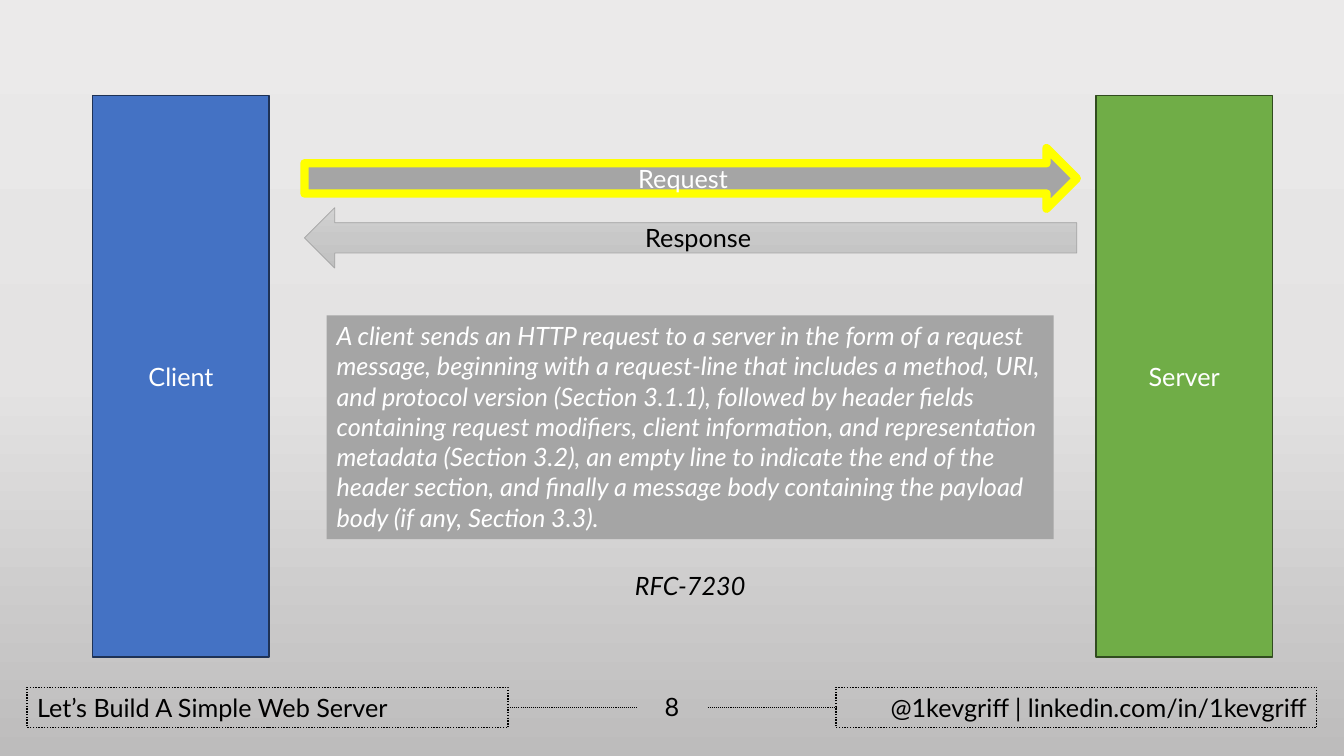
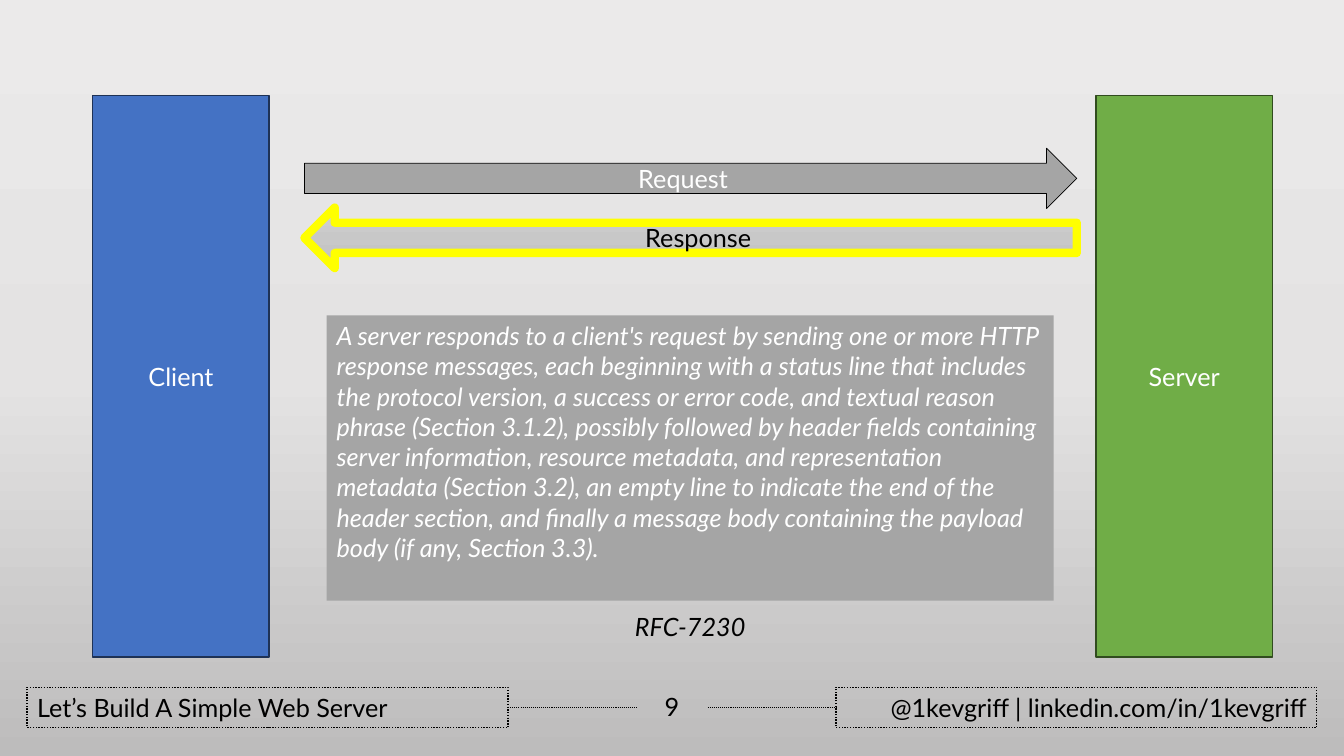
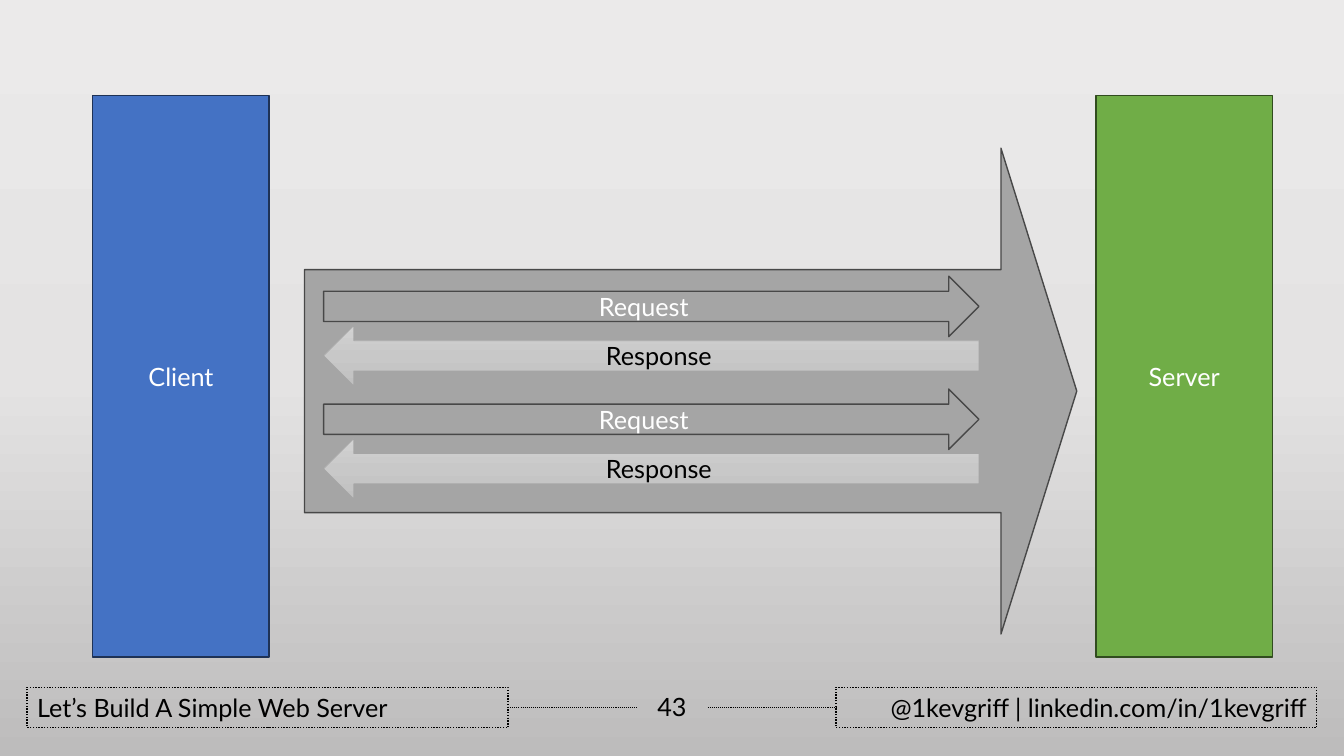
"""Build three slides on the request and response exchange between a client and a server."""
from copy import deepcopy

from lxml import etree
from pptx import Presentation
from pptx import util as u
from pptx.dml.color import RGBColor
from pptx.enum import dml, shapes, text
from pptx.oxml.ns import qn

BLACK = RGBColor(0x00, 0x00, 0x00)
WHITE = RGBColor(0xFF, 0xFF, 0xFF)
YELLOW = RGBColor(0xFF, 0xFF, 0x00)
GRAY = RGBColor(0xA5, 0xA5, 0xA5)
DARK_GRAY = RGBColor(0x48, 0x48, 0x48)
BLUE = RGBColor(0x44, 0x72, 0xC4)
DARK_BLUE = RGBColor(0x1E, 0x32, 0x56)
GREEN = RGBColor(0x70, 0xAD, 0x47)
DARK_GREEN = RGBColor(0x31, 0x4C, 0x1F)
BACKGROUND = [RGBColor(0xEB, 0xEA, 0xEA), RGBColor(0xE4, 0xE3, 0xE3), RGBColor(0xBD, 0xBC, 0xBC)]
SILVER = [RGBColor(0xD2, 0xD2, 0xD2), RGBColor(0xC8, 0xC8, 0xC8), RGBColor(0xC0, 0xC0, 0xC0)]

RECTANGLE = shapes.MSO_SHAPE.RECTANGLE
RIGHT_ARROW = shapes.MSO_SHAPE.RIGHT_ARROW
LEFT_ARROW = shapes.MSO_SHAPE.LEFT_ARROW
TOP, MIDDLE = text.MSO_ANCHOR.TOP, text.MSO_ANCHOR.MIDDLE
LEFT, CENTER, RIGHT = text.PP_ALIGN.LEFT, text.PP_ALIGN.CENTER, text.PP_ALIGN.RIGHT
DOTS = dml.MSO_LINE.ROUND_DOT

FONT = "Lato"
ARROW_HEIGHT = 0.6
FOOTER_MIDDLE = 7.02

EXCHANGES = [
    {
        "number": "8",
        "highlight": "Request",
        "quote": "A client sends an HTTP request to a server in the form of a request message, "
                 "beginning with a request-line that includes a method, URI, and protocol version "
                 "(Section 3.1.1), followed by header fields containing request modifiers, client "
                 "information, and representation metadata (Section 3.2), an empty line to indicate "
                 "the end of the header section, and finally a message body containing the payload "
                 "body (if any, Section 3.3).",
        "quote_height": 2.22,
        "citation_top": 5.61,
    },
    {
        "number": "9",
        "highlight": "Response",
        "quote": "A server responds to a client's request by sending one or more HTTP response "
                 "messages, each beginning with a status line that includes the protocol version, "
                 "a success or error code, and textual reason phrase (Section 3.1.2), possibly "
                 "followed by header fields containing server information, resource metadata, and "
                 "representation metadata (Section 3.2), an empty line to indicate the end of the "
                 "header section, and finally a message body containing the payload body (if any, "
                 "Section 3.3).",
        "quote_height": 2.83,
        "citation_top": 6.02,
    },
    {"number": "43"},
]


def apply_gradient(fill, element, colors):
    """Fill from top to bottom with three evenly spaced colours."""
    fill.gradient()
    fill.gradient_angle = 270
    stop_list = element.xpath(".//a:gsLst")[0]
    stop_list.insert(1, deepcopy(stop_list[0]))
    for stop, color, position in zip(fill.gradient_stops, colors, (0, 0.5, 1)):
        stop.color.rgb = color
        stop.position = position


def add_block(slide, kind, box, words="", fill=None, line=None, width=1, dash=None,
              color=BLACK, align=CENTER, anchor=MIDDLE, italic=False):
    """Add a shape, or a text box when kind is None, with formatted text."""
    place = [u.Inches(length) for length in box]
    if kind is None:
        shape = slide.shapes.add_textbox(*place)
    else:
        shape = slide.shapes.add_shape(kind, *place)
        shape.shadow.inherit = False
    if isinstance(fill, list):
        apply_gradient(shape.fill, shape.element, fill)
    elif fill is not None:
        shape.fill.solid()
        shape.fill.fore_color.rgb = fill
    else:
        shape.fill.background()
    if line is not None:
        shape.line.color.rgb = line
        shape.line.width = u.Pt(width)
        shape.line.dash_style = dash
    else:
        shape.line.fill.background()
    if words:
        frame = shape.text_frame
        frame.word_wrap = True
        frame.vertical_anchor = anchor
        paragraph = frame.paragraphs[0]
        paragraph.alignment = align
        run = paragraph.add_run()
        run.text = words
        run.font.name = FONT
        run.font.size = u.Pt(18)
        run.font.italic = italic
        run.font.color.rgb = color
    return shape


presentation = Presentation()
presentation.slide_width = u.Inches(13.33)
presentation.slide_height = u.Inches(7.5)
master = presentation.slide_master
apply_gradient(master.background.fill, master.element, BACKGROUND)

for exchange in EXCHANGES:
    slide = presentation.slides.add_slide(presentation.slide_layouts[6])

    title_box, contact_box = [
        add_block(slide, RECTANGLE, (left, 6.82, 4.77, 0.4), words, line=BLACK, dash=DOTS,
                  align=align, anchor=TOP)
        for left, words, align in [
            (0.27, "Let’s Build A Simple Web Server", LEFT),
            (8.29, "@1kevgriff | linkedin.com/in/1kevgriff", RIGHT),
        ]
    ]
    rules = []
    for start, end in [(5.05, 6.32), (7.02, 8.29)]:
        rule = slide.shapes.add_connector(
            shapes.MSO_CONNECTOR.STRAIGHT, u.Inches(start), u.Inches(FOOTER_MIDDLE),
            u.Inches(end), u.Inches(FOOTER_MIDDLE))
        rule.line.color.rgb = BLACK
        rule.line.width = u.Pt(0.75)
        rule.line.dash_style = DOTS
        etree.SubElement(rule.element.spPr, qn("a:effectLst"))
        rules.append(rule)
    rules[0].begin_connect(title_box, 3)
    rules[1].end_connect(contact_box, 1)
    add_block(slide, None, (6.36, 6.81, 0.61, 0.4), exchange["number"], anchor=TOP)

    for left, words, fill, line in [(0.92, "Client", BLUE, DARK_BLUE),
                                    (10.87, "Server", GREEN, DARK_GREEN)]:
        add_block(slide, RECTANGLE, (left, 0.95, 1.75, 5.57), words, fill=fill, line=line,
                  color=WHITE)

    if "quote" in exchange:
        arrow_left, arrow_width, response_step = 3.02, 7.66, 0.59
        request_tops = [1.47]
        request_line = (BLACK, 0.5)
        add_block(slide, RECTANGLE, (3.24, 3.13, 7.21, exchange["quote_height"]),
                  exchange["quote"], fill=GRAY, color=WHITE, align=LEFT, anchor=TOP, italic=True)
        add_block(slide, None, (3.24, exchange["citation_top"], 7.21, 0.4), "RFC-7230",
                  anchor=TOP, italic=True)
    else:
        arrow_left, arrow_width, response_step = 3.21, 6.5, 0.49
        request_tops = [2.74, 3.86]
        request_line = (DARK_GRAY, 1)
        connection = add_block(slide, RIGHT_ARROW, (3.02, 1.47, 7.66, 4.82), fill=GRAY,
                               line=DARK_GRAY)
        connection.adjustments[1] = 0.156

    for request_top in request_tops:
        for kind, words, top, fill, outline, color in [
            (RIGHT_ARROW, "Request", request_top, GRAY, request_line, WHITE),
            (LEFT_ARROW, "Response", request_top + response_step, SILVER, (GRAY, 0.5), BLACK),
        ]:
            line, width = (YELLOW, 6) if words == exchange.get("highlight") else outline
            add_block(slide, kind, (arrow_left, top, arrow_width, ARROW_HEIGHT), words,
                      fill=fill, line=line, width=width, color=color)

presentation.save("out.pptx")
